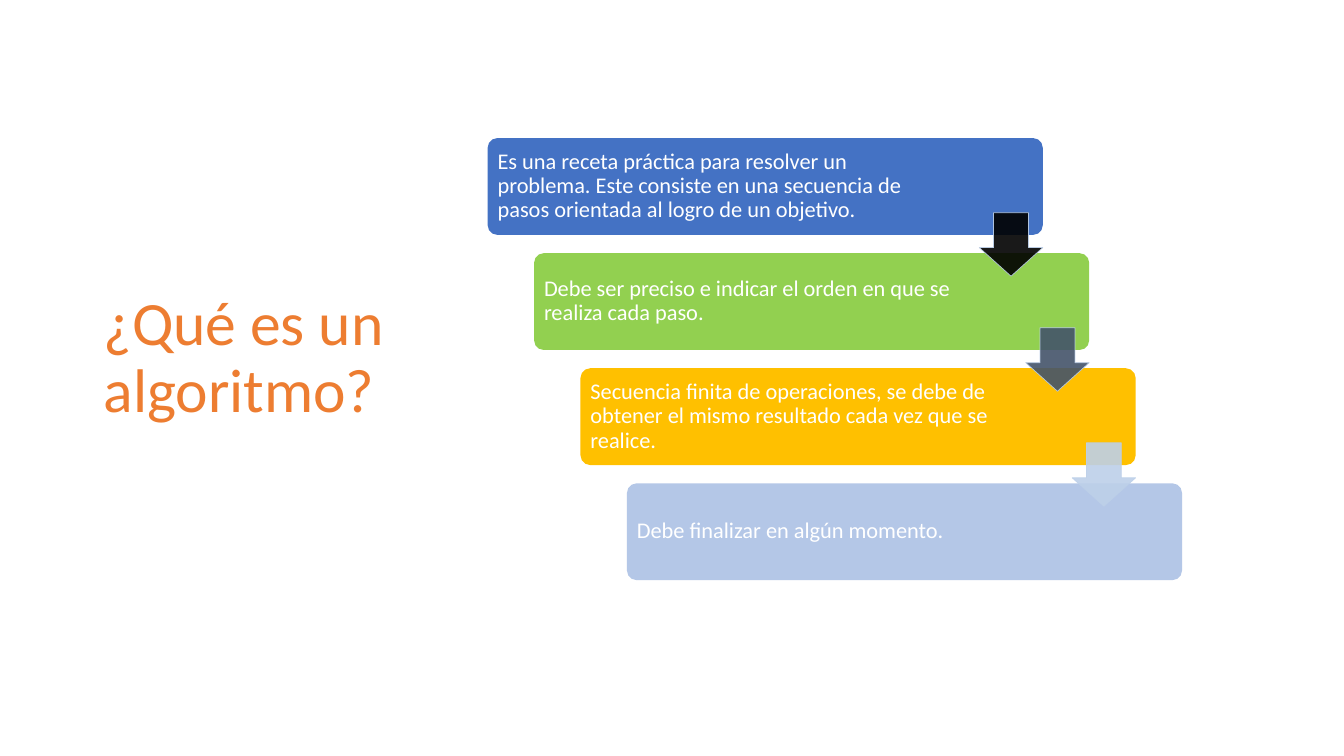
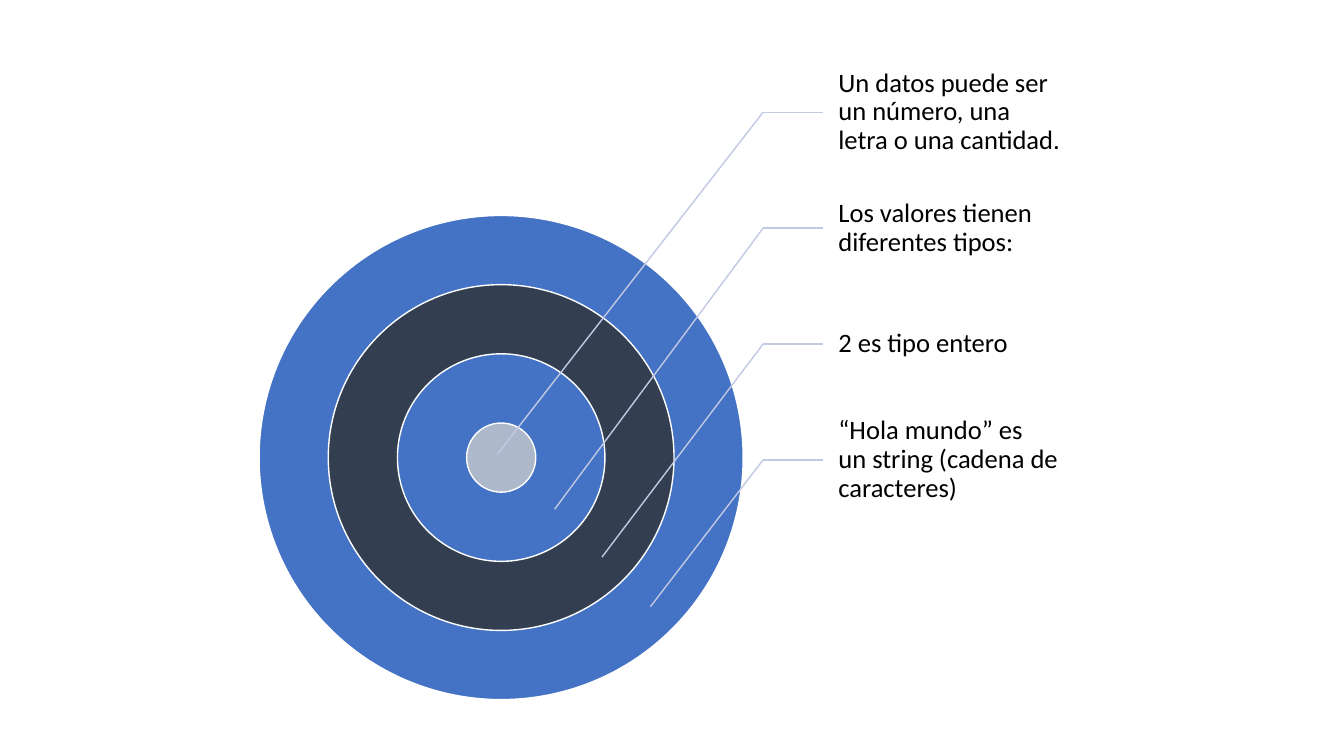
from lxml import etree
from pptx import Presentation
from pptx.dml.color import RGBColor
from pptx.enum import shapes, text
from pptx.oxml.ns import qn
from pptx.util import Cm, Pt

FONT = "Calibri"
WHITE = RGBColor(0xFF, 0xFF, 0xFF)
BLACK = RGBColor(0, 0, 0)
ORANGE = RGBColor(0xED, 0x7D, 0x31)
BLUE = RGBColor(0x44, 0x72, 0xC4)
GREEN = RGBColor(0x92, 0xD0, 0x50)
GOLD = RGBColor(0xFF, 0xC0, 0x00)
PALE = RGBColor(0xB4, 0xC7, 0xE7)
ICE = RGBColor(0xBD, 0xD0, 0xE9)
SLATE = RGBColor(0x44, 0x54, 0x6A)
NAVY = RGBColor(0x33, 0x3F, 0x50)
GREY = RGBColor(0xAD, 0xB9, 0xCA)
LILAC = RGBColor(0xC1, 0xC9, 0xE4)


# Shared helpers; all lengths are in centimetres
def place(x, y, w, h):
    return Cm(x), Cm(y), Cm(w), Cm(h)


def write(shape, words, size, color, pads):
    frame = shape.text_frame
    frame.word_wrap = True
    frame.vertical_anchor = text.MSO_ANCHOR.MIDDLE
    (frame.margin_left, frame.margin_top,
     frame.margin_right, frame.margin_bottom) = place(*pads)
    frame.text = words
    para = frame.paragraphs[0]
    para.alignment = text.PP_ALIGN.LEFT
    para.line_spacing = 0.9
    font = para.runs[0].font
    font.name, font.size, font.color.rgb = FONT, Pt(size), color


def label(slide, box, words, size, color, pads):
    write(slide.shapes.add_textbox(*place(*box)), words, size, color, pads)


def draw(slide, kind, box, fill, edge=None, width=1):
    shape = slide.shapes.add_shape(kind, *place(*box))
    shape.shadow.inherit = False
    shape.fill.solid()
    shape.fill.fore_color.rgb = fill
    if edge is None:
        shape.line.fill.background()
    else:
        shape.line.color.rgb = edge
        shape.line.width = Pt(width)
    return shape


def fade(shape, percent):
    for color in shape._element.spPr.iter(qn("a:srgbClr")):
        etree.SubElement(color, qn("a:alpha"), val=str(percent * 1000))


def link(slide, x1, y1, x2, y2):
    line = slide.shapes.add_connector(
        shapes.MSO_CONNECTOR.STRAIGHT, *place(x1, y1, x2, y2))
    line.line.color.rgb = LILAC
    line.line.width = Pt(1)
    etree.SubElement(line._element.spPr, qn("a:effectLst"))


# Staircase of cards, joined by arrows at their right edges
def stairs(slide, box, steps, arrows):
    left, top, width, height = box
    shift, pitch, side = 1.17, 2.9, 1.6
    wide = width - shift * (len(steps) - 1)
    high = height - pitch * (len(steps) - 1)
    for i, (words, fill) in enumerate(steps):
        card = draw(slide, shapes.MSO_SHAPE.ROUNDED_RECTANGLE,
                    (left + i * shift, top + i * pitch, wide, high), fill)
        card.adjustments[0] = 0.1
        write(card, words, 16, WHITE, (0.18, 0.18, 2.87, 0.18))
    for i, fill in enumerate(arrows):
        arrow = draw(slide, shapes.MSO_SHAPE.DOWN_ARROW,
                     (left + i * shift + wide - side, top + i * pitch + 1.88,
                      side, side), fill, ICE, 0.5)
        arrow.adjustments[0], arrow.adjustments[1] = 0.55, 0.45
        fade(arrow, 90)


# Concentric rings at bottom left, labels at top right, bent leader lines
def target(slide, box, rings, notes):
    left, top, width, height = box
    size, wide, high, bend = 12.2, 6.1, 2.92, 1.52
    unit = size / (2 * len(rings) - 1)
    mid_x, mid_y = left + size / 2, top + height - size / 2
    for i, fill in enumerate(rings):
        span = size - 2 * i * unit
        draw(slide, shapes.MSO_SHAPE.OVAL,
             (mid_x - span / 2, mid_y - span / 2, span, span), fill, WHITE)
    edge = left + width - wide
    for i, (words, dx, dy) in enumerate(notes):
        y = top + i * high
        label(slide, (edge, y, wide, high), words, 19, BLACK,
              (0.38, 0.08, 0.08, 0.08))
        y += high / 2
        link(slide, edge - bend, y, edge, y)
        link(slide, edge - bend, y, mid_x + dx, mid_y + dy)


deck = Presentation()
deck.slide_width, deck.slide_height = Cm(33.87), Cm(19.05)
blank = deck.slide_layouts[6]

# Slide 1: what an algorithm is
slide = deck.slides.add_slide(blank)
label(slide, (2.36, 3.48, 8.13, 11.13), "¿Qué es un algoritmo?", 44, ORANGE,
      (0.25, 0.13, 0.25, 0.13))
stairs(slide, (12.29, 3.48, 17.5, 11.14), [
    ("Es una receta práctica para resolver un problema. Este consiste en una "
     "secuencia de pasos orientada al logro de un objetivo.", BLUE),
    ("Debe ser preciso e indicar el orden en que se realiza cada paso.", GREEN),
    ("Secuencia finita de operaciones, se debe de obtener el mismo resultado "
     "cada vez que se realice.", GOLD),
    ("Debe finalizar en algún momento.", PALE),
], [BLACK, SLATE, ICE])

# Slide 2: data and their types
slide = deck.slides.add_slide(blank)
target(slide, (6.53, 1.37, 20.32, 16.26), [BLUE, NAVY, BLUE, GREY], [
    ("Un datos puede ser un número, una letra o una cantidad.", -0.1, -0.08),
    ("Los valores tienen diferentes tipos:", 1.35, 1.3),
    ("2 es tipo entero", 2.54, 2.51),
    ("“Hola mundo” es un\u00a0string\u00a0(cadena de caracteres)", 3.76, 3.76),
])

deck.save("out.pptx")
